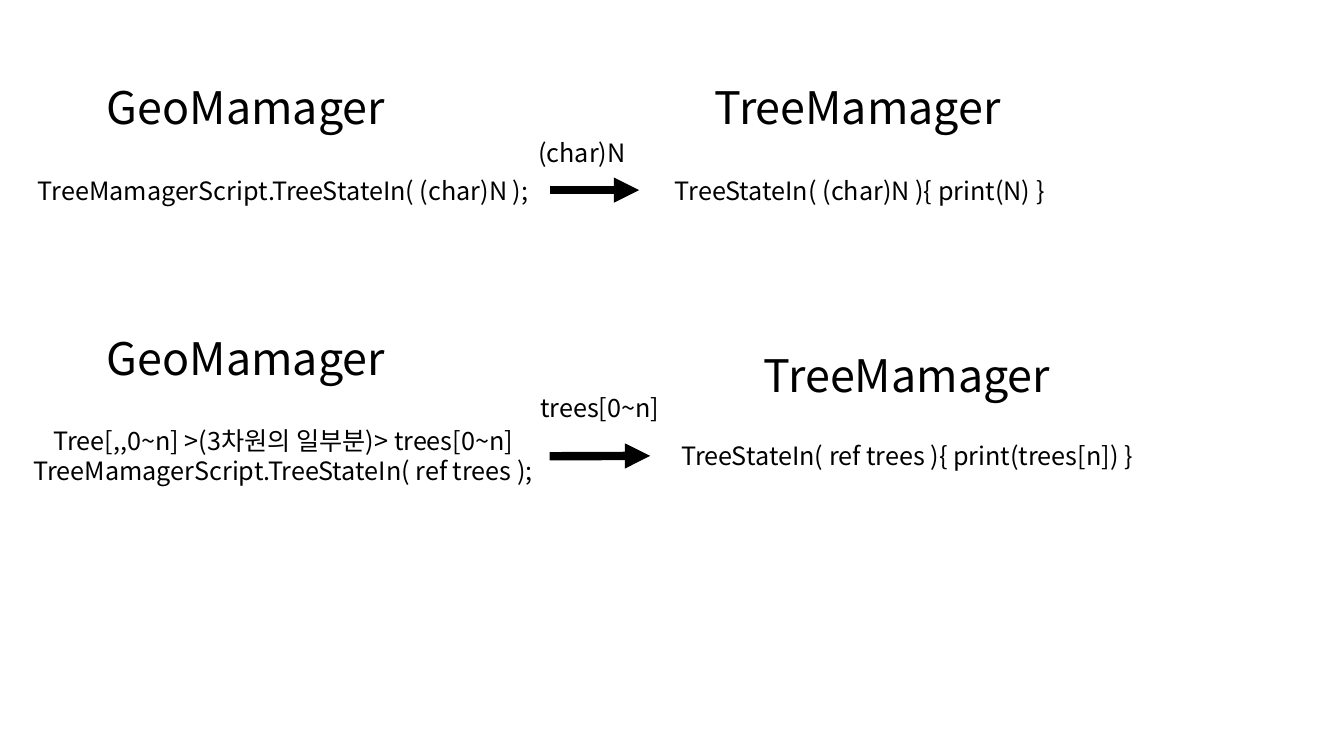
from lxml import etree
from pptx import Presentation
from pptx.dml.color import RGBColor
from pptx.enum import shapes, text
from pptx.oxml.ns import qn
from pptx.util import Pt

BLACK = RGBColor(0, 0, 0)
FONT = "Noto Sans CJK KR"
TITLE_SIZE, CODE_SIZE = 32, 18
TITLE_H, LINE_H, TWO_LINE_H = 46, 28.8, 51
SENDER_X, SENDER_TITLE_X = 12.2, 52.6
SENDER_W, TITLE_W = 380.4, 246.2


def add_label(slide, box, lines, size=CODE_SIZE):
    """Centred text in box (left, top, width, height), one paragraph per line."""
    sp = slide.shapes.add_textbox(*map(Pt, box))
    tf = sp.text_frame
    tf.word_wrap = True
    tf.auto_size = text.MSO_AUTO_SIZE.SHAPE_TO_FIT_TEXT
    tf.text = "\n".join(lines)
    for p in tf.paragraphs:
        p.alignment = text.PP_ALIGN.CENTER
        p.font.size = Pt(size)
        p.font.name = FONT
        p.font.color.rgb = BLACK
        for r in p.runs:
            etree.SubElement(r._r.get_or_add_rPr(), qn("a:ea"), typeface=FONT)
    return sp


def add_arrow(slide, source, target):
    """Thick arrow from the right side of source to the left side of target."""
    line = slide.shapes.add_connector(shapes.MSO_CONNECTOR.STRAIGHT, 0, 0, 0, 0)
    line.begin_connect(source, 3)
    line.end_connect(target, 1)
    line.line.color.rgb = BLACK
    line.line.width = Pt(6)
    etree.SubElement(line.line._get_or_add_ln(), qn("a:tailEnd"), type="triangle")
    etree.SubElement(line._element.spPr, qn("a:effectLst"))


def add_exchange(slide, top, call, argument, argument_box, receiver_title_box,
                 handler, handler_box):
    """GeoMamager calling TreeMamager; boxes are (left, offset from top, width)."""
    def placed(box, height):
        left, offset, width = box
        return left, top + offset, width, height

    add_label(slide, placed((SENDER_TITLE_X, 0, TITLE_W), TITLE_H),
              ["GeoMamager"], TITLE_SIZE)
    call_h = LINE_H if len(call) == 1 else TWO_LINE_H
    sender = add_label(slide, placed((SENDER_X, 68, SENDER_W), call_h), call)
    add_label(slide, placed(receiver_title_box, TITLE_H), ["TreeMamager"], TITLE_SIZE)
    receiver = add_label(slide, placed(handler_box, LINE_H), [handler])
    add_arrow(slide, sender, receiver)
    add_label(slide, placed(argument_box, LINE_H), [argument])


def main():
    prs = Presentation()
    prs.slide_width, prs.slide_height = Pt(960), Pt(540)
    slide = prs.slides.add_slide(prs.slide_layouts[6])
    add_exchange(
        slide, 53.4,
        ["TreeMamagerScript.TreeStateIn( (char)N );"],
        "(char)N", (375, 41, 81.4),
        (455, 0, 315.4),
        "TreeStateIn( (char)N ){ print(N) }", (456.5, 68, 315.4))
    add_exchange(
        slide, 232.4,
        ["Tree[,,0~n] >(3차원의 일부분)> trees[0~n]",
         "TreeMamagerScript.TreeStateIn( ref trees );"],
        "trees[0~n]", (377.3, 44, 102.2),
        (524.9, 12.4, TITLE_W),
        "TreeStateIn( ref trees ){ print(trees[n]) }", (464.4, 78.8, 367.2))
    prs.save("out.pptx")


if __name__ == "__main__":
    main()
